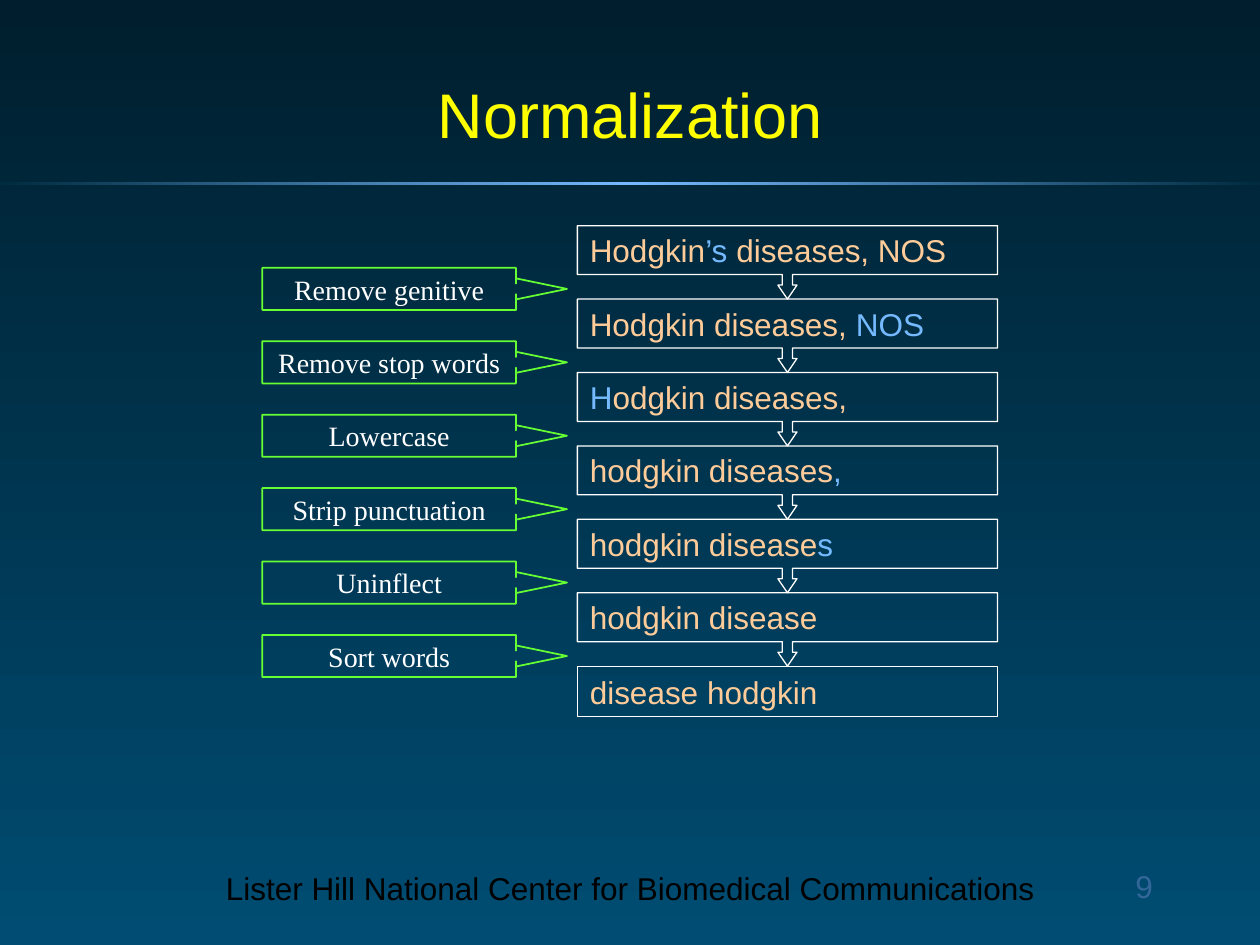
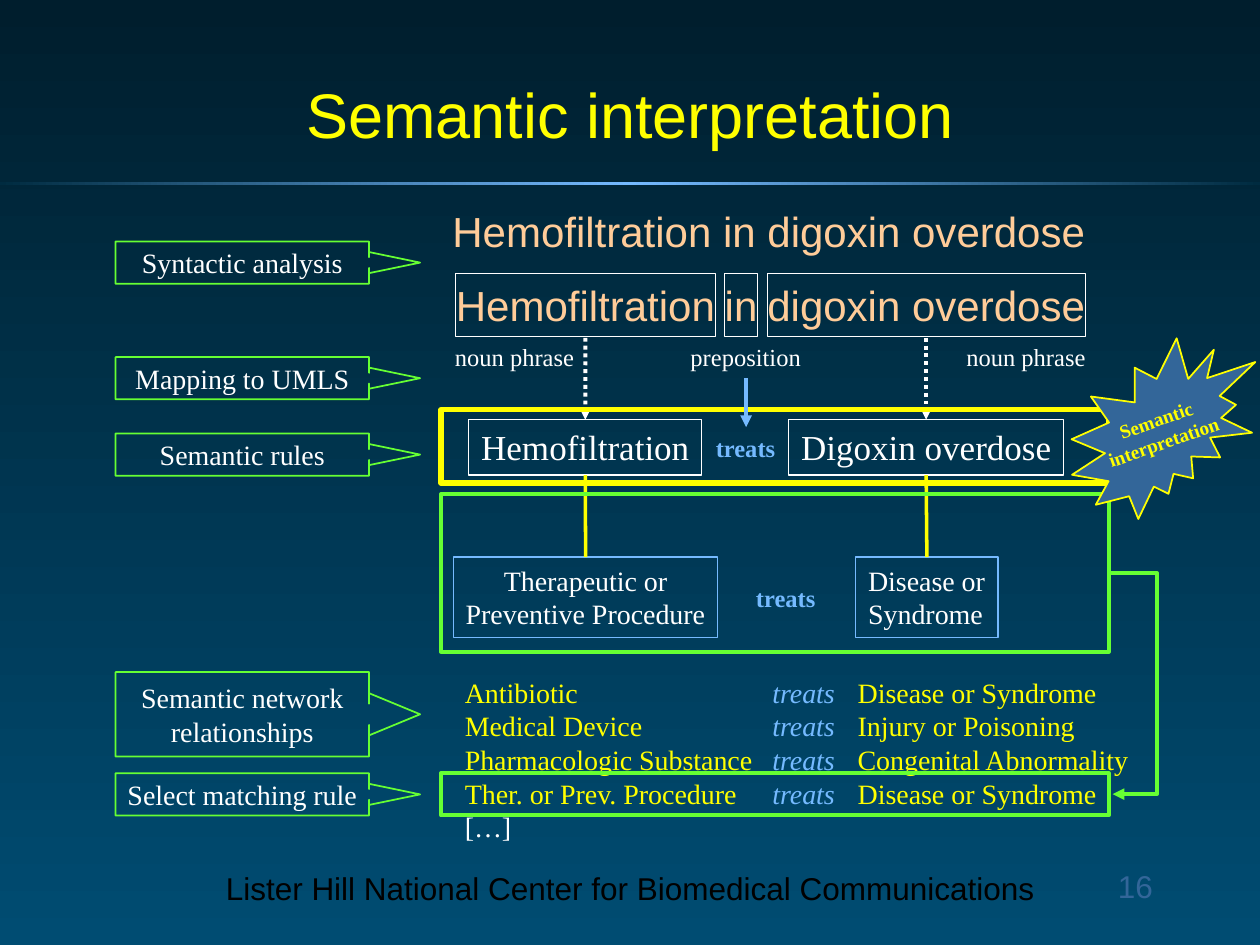
"""Build two slides on text normalization and semantic interpretation."""
from copy import deepcopy
from lxml import etree
from pptx import Presentation
from pptx import util as u
from pptx.dml import color as dml
from pptx.enum import dml as line_styles
from pptx.enum import shapes, text
from pptx.oxml.ns import qn

COLORS = {
    "night": "001E2D", "ocean": "004C72", "deep": "002B40", "sky": "75BAFF",
    "yellow": "FFFF00", "peach": "FFCC99", "green": "66FF33", "white": "FFFFFF",
    "steel": "336699", "black": "000000",
}
RGB = {name: dml.RGBColor.from_string(value) for name, value in COLORS.items()}
KIND = shapes.MSO_SHAPE
MIDDLE = {"vertical_anchor": text.MSO_ANCHOR.MIDDLE, "word_wrap": False}
TOP = {"vertical_anchor": text.MSO_ANCHOR.TOP, "word_wrap": False}
TIGHT = {**TOP, "margin_left": 0, "margin_right": 0}
WRAPPED = {**TOP, "word_wrap": True}
LEFT, CENTER, RIGHT = text.PP_ALIGN.LEFT, text.PP_ALIGN.CENTER, text.PP_ALIGN.RIGHT
SANS, SERIF = "Arial", "Times New Roman"

LOOKS = {
    "title": ({"vertical_anchor": text.MSO_ANCHOR.BOTTOM, "word_wrap": True,
               "auto_size": text.MSO_AUTO_SIZE.NONE}, CENTER, SANS, 36, "yellow", False),
    "footer": (WRAPPED, CENTER, SANS, 18, "black", False),
    "number": (WRAPPED, RIGHT, SANS, 18, "steel", False),
    "term": (MIDDLE, LEFT, SANS, 18, "peach", False),
    "step": (MIDDLE, CENTER, SERIF, 16, "white", False),
    "phrase": (TIGHT, LEFT, SANS, 24, "peach", False),
    "label": (TIGHT, LEFT, SERIF, 14, "white", False),
    "relation": (TIGHT, LEFT, SERIF, 14, "sky", True),
    "concept": (TOP, LEFT, SERIF, 20, "white", False),
    "procedure": (TOP, CENTER, SERIF, 16, "white", False),
    "disorder": (TOP, LEFT, SERIF, 16, "white", False),
    "rules": (TOP, LEFT, SERIF, 16, "yellow", False),
    "seal": (MIDDLE, CENTER, SERIF, 11, "yellow", True),
}


def write(box, look, lines):
    """Fill a box with lines; a span is a string or a (string, colour) pair."""
    frame_values, alignment, font, size, color, bold = LOOKS[look]
    frame = box.text_frame
    for name, value in frame_values.items():
        setattr(frame, name, value)
    for index, line in enumerate(lines):
        para = frame.add_paragraph() if index else frame.paragraphs[0]
        para.alignment = alignment
        for part in [line] if isinstance(line, str) else line:
            words, tint = (part, color) if isinstance(part, str) else part
            span = para.add_run()
            span.text = words
            for name, value in {"name": font, "size": u.Pt(size), "bold": bold}.items():
                setattr(span.font, name, value)
            span.font.color.rgb = RGB[tint]


def draw(page, kind, place, line=None, look=None, lines=(), adjustments=()):
    """Add an outlined shape, or a text box when kind is None."""
    place = [u.Cm(length) for length in place]
    if kind is None:
        box = page.shapes.add_textbox(*place)
    else:
        box = page.shapes.add_shape(kind, *place)
        box.shadow.inherit = False
        box.fill.background()
        if line:
            box.line.color.rgb, box.line.width = RGB[line[0]], u.Pt(line[1])
        else:
            box.line.fill.background()
        for index, value in enumerate(adjustments):
            box.adjustments[index] = value
    if look:
        write(box, look, lines)
    return box


deck = Presentation()
deck.slide_width, deck.slide_height = u.Cm(25.4), u.Cm(19.05)
master = deck.slide_master
pages = []
for title, number in (("Normalization", "9"), ("Semantic interpretation", "16")):
    page = deck.slides.add_slide(deck.slide_layouts[5])
    box = page.shapes.title
    for name, value in {"left": 1.91, "top": 1.27, "width": 21.59, "height": 1.91}.items():
        setattr(box, name, u.Cm(value))
    write(box, "title", [title])
    draw(page, None, (18.2, 17.35, 5.29, 1.27), None, "number", [number])
    pages.append(page)
normalization, interpretation = pages

backdrop = master.background.fill
backdrop.gradient()
backdrop.gradient_angle = 270
for stop, name in zip(backdrop.gradient_stops, ("night", "ocean")):
    stop.color.rgb = RGB[name]

band = draw(normalization, KIND.RECTANGLE, (0, 3.66, 25.4, 0.08))
band.fill.gradient()
band.fill.gradient_angle = 0
stop_list = band.element.find(".//" + qn("a:gsLst"))
stop_list.insert(1, deepcopy(stop_list[0]))
for stop, name, position in zip(band.fill.gradient_stops, ("deep", "sky", "deep"), (0, 0.5, 1)):
    stop.color.rgb, stop.position = RGB[name], position
footer = draw(normalization, None, (4.13, 17.4, 17.15, 1.02), None, "footer",
              ["Lister Hill National Center for Biomedical Communications"])
for box in (band, footer):
    master.shapes.element.append(box.element)

THIN_WHITE, THIN_SKY, STEP_LINE = ("white", 0.75), ("sky", 0.75), ("green", 1)
STEP_SHAPE = (0.25, 0.25, 1.21, 5 / 6)
ROW = 1.48
terms = [
    ["Hodgkin", ("’s", "sky"), " diseases, NOS"],
    ["Hodgkin diseases, ", ("NOS", "sky")],
    [("H", "sky"), "odgkin diseases,"],
    ["hodgkin diseases", (",", "sky")],
    ["hodgkin disease", ("s", "sky")],
    ["hodgkin disease"],
]
steps = ["Remove genitive", "Remove stop words", "Lowercase",
         "Strip punctuation", "Uninflect", "Sort words"]
for row, (term, step) in enumerate(zip(terms, steps)):
    draw(normalization, KIND.DOWN_ARROW_CALLOUT, (11.64, 4.55 + row * ROW, 8.47, ROW),
         THIN_WHITE, "term", [term], (0.14, 0.13, 0.19, 2 / 3))
    draw(normalization, KIND.RIGHT_ARROW_CALLOUT, (5.29, 5.4 + row * ROW, 6.14, 0.85),
         STEP_LINE, "step", [step], STEP_SHAPE)
draw(normalization, KIND.RECTANGLE, (11.64, 4.55 + len(terms) * ROW, 8.47, 1.02),
     THIN_WHITE, "term", ["disease hodgkin"])

page = interpretation
for top, lines in (
    (4.87, ["Syntactic analysis"]),
    (7.2, ["Mapping to UMLS"]),
    (8.74, ["Semantic rules"]),
    (13.55, ["Semantic network", "relationships"]),
    (15.59, ["Select matching rule"]),
):
    count = len(lines)
    draw(page, KIND.RIGHT_ARROW_CALLOUT, (2.33, top, 6.14, 0.85 * count), STEP_LINE,
         "step", lines, (0.25, 0.25, 1.21 / count, 5 / 6))

draw(page, None, (9.12, 4.01, 13.5, 1.27), None, "phrase",
     ["Hemofiltration in digoxin overdose"])
for phrase, left, width in (("Hemofiltration", 9.19, 5.23), ("in", 14.61, 0.66),
                            ("digoxin overdose", 15.47, 6.42)):
    draw(page, KIND.RECTANGLE, (left, 5.51, width, 1.28), THIN_WHITE, "phrase", [phrase])
labels = [
    draw(page, None, (left, 6.77, width, 0.86), None, "label", [label])
    for label, left, width in (("noun phrase", 9.17, 2.41), ("preposition", 13.92, 2.24),
                               ("noun phrase", 19.48, 2.41))
]
treats, _ = [draw(page, None, (left, top, 1.22, 0.86), None, "relation", ["treats"])
             for left, top in ((14.43, 8.61), (15.24, 11.63))]

links = []
for concept, left, width, category, look, category_left, category_width in (
    ("Hemofiltration", 9.45, 4.7, ["Therapeutic or", "Preventive Procedure"],
     "procedure", 9.14, 5.33),
    ("Digoxin overdose", 15.9, 5.54, ["Disease or", "Syndrome"], "disorder", 17.25, 2.87),
):
    concept_box = draw(page, KIND.RECTANGLE, (left, 8.46, width, 1.12),
                       THIN_WHITE, "concept", [concept])
    category_box = draw(page, KIND.RECTANGLE, (category_left, 11.23, category_width, 1.63),
                        THIN_SKY, look, category)
    mapping = page.shapes.add_connector(
        shapes.MSO_CONNECTOR.STRAIGHT, u.Cm(left + width / 2), u.Cm(6.81), 0, 0)
    mapping.end_connect(concept_box, 0)
    mapping.line.dash_style = line_styles.MSO_LINE.ROUND_DOT
    typing_line = page.shapes.add_connector(shapes.MSO_CONNECTOR.STRAIGHT, 0, 0, 0, 0)
    typing_line.begin_connect(category_box, 0)
    typing_line.end_connect(concept_box, 2)
    links += [(mapping, "white", 2.25, True), (typing_line, "yellow", 2, False)]

rules = [
    ("Antibiotic", "Disease or Syndrome"),
    ("Medical Device", "Injury or Poisoning"),
    ("Pharmacologic Substance", "Congenital Abnormality"),
    ("Ther. or Prev. Procedure", "Disease or Syndrome"),
]
rule_lines = [[subject + "\t", ("treats\t", "sky"), target] for subject, target in rules]
rule_box = draw(page, None, (9.12, 13.49, 13.92, 3.66), None, "rules",
                rule_lines + [[("[…]", "white")]])
for para in rule_box.text_frame.paragraphs[:len(rules)]:
    para.runs[1].font.italic = True
    tabs = etree.SubElement(para._p.get_or_add_pPr(), qn("a:tabLst"))
    for position in (6.2, 7.92):
        etree.SubElement(tabs, qn("a:tab"), pos=str(u.Cm(position)), algn="l")

for top, height, line in ((9.96, 3.18, ("green", 2.25)), (15.59, 0.85, ("green", 2.25)),
                          (8.26, 1.48, ("yellow", 3))):
    draw(page, KIND.RECTANGLE, (8.89, top, 13.46, height), line)

preposition_link = page.shapes.add_connector(shapes.MSO_CONNECTOR.STRAIGHT, 0, 0, 0, 0)
preposition_link.begin_connect(labels[1], 2)
preposition_link.end_connect(treats, 0)
match_link = page.shapes.add_connector(
    shapes.MSO_CONNECTOR.ELBOW, u.Cm(22.4), u.Cm(11.55), u.Cm(22.43), u.Cm(16.01))
bend = etree.SubElement(match_link.element.find(".//" + qn("a:prstGeom")).find(qn("a:avLst")),
                        qn("a:gd"))
bend.set("name", "adj1")
bend.set("fmla", f"val {round(0.92 / 0.03 * 100000)}")
links += [(preposition_link, "sky", 2.25, True), (match_link, "green", 2.25, True)]

for link, name, width, arrow in links:
    link.line.color.rgb, link.line.width = RGB[name], u.Pt(width)
    if arrow:
        etree.SubElement(link.line._get_or_add_ln(), qn("a:tailEnd"), type="triangle")
    etree.SubElement(link.element.spPr, qn("a:effectLst"))

seal = draw(page, KIND.EXPLOSION2, (21.39, 6.99, 4.24, 3.18), ("yellow", 1), "seal",
            ["Semantic", "interpretation"])
seal.rotation = 340.6
seal.fill.solid()
seal.fill.fore_color.rgb = RGB["steel"]

deck.save("out.pptx")
